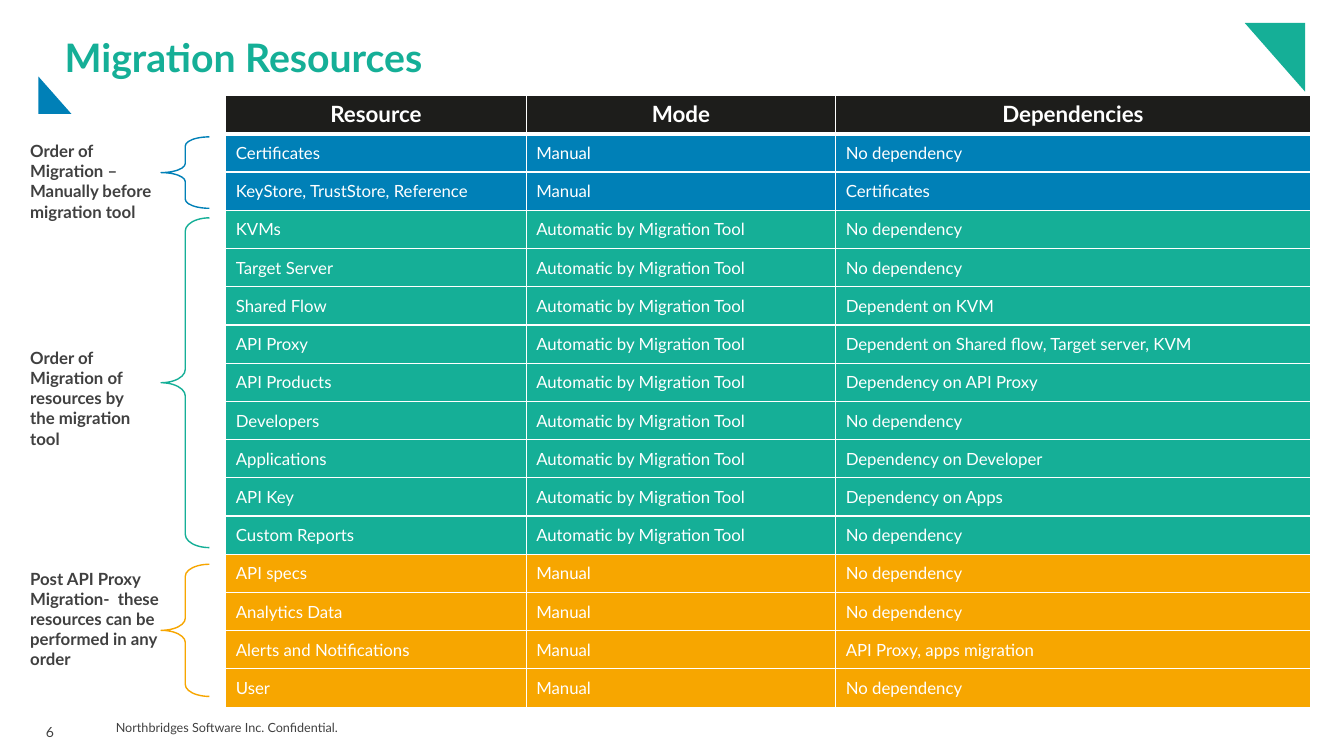
from dataclasses import dataclass

from lxml.etree import SubElement
from pptx import Presentation
from pptx.dml.color import RGBColor
from pptx.enum.shapes import MSO_SHAPE
from pptx.enum.text import MSO_ANCHOR, PP_ALIGN
from pptx.oxml.ns import qn
from pptx.util import Cm, Pt


@dataclass(frozen=True)
class Theme:
    font: str = "Lato"
    green: str = "15AF97"
    blue: str = "0080B7"
    orange: str = "F7A600"
    black: str = "1D1D1B"
    white: str = "FFFFFF"
    grey: str = "404040"
    title_size: int = 28
    header_size: int = 16
    body_size: int = 12
    number_size: int = 10
    footer_size: int = 9


@dataclass(frozen=True)
class Phase:
    """A coloured group of rows with its brace and label; lengths in cm."""
    color: str
    label: str
    label_box: tuple
    brace_top: float
    brace_height: float
    brace_curve: float
    rows: tuple


THEME = Theme()
AUTOMATIC = "Automatic by Migration Tool"
MANUAL = "Manual"
FREE = "No dependency"
HEADERS = ("Resource", "Mode", "Dependencies")
COLUMN_WIDTHS = (7.57, 7.8, 11.96)
PHASES = (
    Phase(THEME.blue, "Order of Migration – Manually before migration tool",
          (0.56, 3.45, 3.66, 2.77), 3.45, 1.8, 0.188, (
              ("Certificates", MANUAL, FREE),
              ("KeyStore, TrustStore, Reference", MANUAL, "Certificates"),
          )),
    Phase(THEME.green, "Order of Migration of resources by the migration tool",
          (0.56, 8.66, 3.4, 2.77), 5.49, 8.31, 0.274, (
              ("KVMs", AUTOMATIC, FREE),
              ("Target Server", AUTOMATIC, FREE),
              ("Shared Flow", AUTOMATIC, "Dependent on KVM"),
              ("API Proxy", AUTOMATIC,
               "Dependent on Shared flow, Target server, KVM"),
              ("API Products", AUTOMATIC, "Dependency on API Proxy"),
              ("Developers", AUTOMATIC, FREE),
              ("Applications", AUTOMATIC, "Dependency on Developer"),
              ("API Key", AUTOMATIC, "Dependency on Apps"),
              ("Custom Reports", AUTOMATIC, FREE),
          )),
    Phase(THEME.orange,
          "Post API Proxy Migration-  these resources can be performed in any order",
          (0.56, 14.22, 3.66, 3.28), 14.22, 3.33, 0.248, (
              ("API specs", MANUAL, FREE),
              ("Analytics Data", MANUAL, FREE),
              ("Alerts and Notifications", MANUAL, "API Proxy, apps migration"),
              ("User", MANUAL, FREE),
          )),
)


def style(para, size, color, bold=False):
    para.font.name = THEME.font
    para.font.size = Pt(size)
    para.font.bold = bold
    para.font.color.rgb = RGBColor.from_string(color)


def set_margins(frame, across, down):
    frame.margin_left = frame.margin_right = Cm(across)
    frame.margin_top = frame.margin_bottom = Cm(down)


def add_title(page, text):
    title = page.shapes.title
    title.left, title.top, title.width, title.height = (
        Cm(1.63), Cm(0.97), Cm(30.5), Cm(1.07))
    frame = title.text_frame
    frame.text = text
    frame.vertical_anchor = MSO_ANCHOR.MIDDLE
    set_margins(frame, 0, 0)
    para = frame.paragraphs[0]
    para.alignment = PP_ALIGN.LEFT
    para.line_spacing = 0.9
    style(para, THEME.title_size, THEME.green, bold=True)


def add_text(page, bounds, text, size, bold=False, margins=(0.2, 0.1)):
    box = page.shapes.add_textbox(*map(Cm, bounds))
    frame = box.text_frame
    frame.word_wrap = True
    frame.text = text
    set_margins(frame, *margins)
    style(frame.paragraphs[0], size, THEME.grey, bold)
    return frame


def add_triangle(page, points, color):
    start, *others = [(Cm(x), Cm(y)) for x, y in points]
    builder = page.shapes.build_freeform(*start)
    builder.add_line_segments(others, close=True)
    triangle = builder.convert_to_shape()
    triangle.shadow.inherit = False
    triangle.fill.solid()
    triangle.fill.fore_color.rgb = RGBColor.from_string(color)
    triangle.line.fill.background()


def add_brace(page, phase):
    brace = page.shapes.add_shape(
        MSO_SHAPE.LEFT_BRACE, Cm(4.06), Cm(phase.brace_top),
        Cm(1.22), Cm(phase.brace_height))
    brace.adjustments[0] = phase.brace_curve
    brace.shadow.inherit = False
    brace.fill.background()
    brace.line.color.rgb = RGBColor.from_string(phase.color)
    brace.line.width = Pt(1)


def set_borders(cell, top, bottom):
    """Draw white borders, 1 pt at the sides; must precede the cell's fill."""
    properties = cell._tc.get_or_add_tcPr()
    for tag, width in (("lnL", 1), ("lnR", 1), ("lnT", top), ("lnB", bottom)):
        line = SubElement(properties, qn(f"a:{tag}"), w=str(Pt(width)))
        fill = SubElement(line, qn("a:solidFill"))
        SubElement(fill, qn("a:srgbClr"), val=THEME.white)


def fill_row(table, index, texts, color):
    is_header = index == 0
    for column, text in enumerate(texts):
        cell = table.cell(index, column)
        set_borders(cell, top=3 if index == 1 else 1, bottom=3 if is_header else 1)
        cell.fill.solid()
        cell.fill.fore_color.rgb = RGBColor.from_string(color)
        cell.text = text
        para = cell.text_frame.paragraphs[0]
        if is_header:
            para.alignment = PP_ALIGN.CENTER
            style(para, THEME.header_size, THEME.white, bold=True)
        else:
            cell.vertical_anchor = MSO_ANCHOR.MIDDLE
            style(para, THEME.body_size, THEME.white)


def add_resource_table(page):
    rows = [(HEADERS, THEME.black)]
    rows += [(row, phase.color) for phase in PHASES for row in phase.rows]
    table = page.shapes.add_table(
        len(rows), len(HEADERS), Cm(5.69), Cm(2.41),
        Cm(sum(COLUMN_WIDTHS)), Cm(15.42)).table
    table.horz_banding = False
    for column, width in zip(table.columns, COLUMN_WIDTHS):
        column.width = Cm(width)
    for index, (texts, color) in enumerate(rows):
        fill_row(table, index, texts, color)


def add_footer(page):
    footer = add_text(page, (2.67, 17.91, 6.93, 0.86),
                      "Northbridges Software Inc. Confidential.",
                      THEME.footer_size, margins=(0.25, 0.25))
    footer.vertical_anchor = MSO_ANCHOR.MIDDLE
    number = add_text(page, (0.91, 17.93, 0.94, 0.79), "6",
                      THEME.number_size, margins=(0.25, 0.13))
    number.word_wrap = False
    number.paragraphs[0].line_spacing = Pt(17)
    number.paragraphs[0].space_after = Pt(2)


def main():
    deck = Presentation()
    deck.slide_width, deck.slide_height = Cm(33.87), Cm(19.05)
    page = deck.slides.add_slide(deck.slide_layouts.get_by_name("Title Only"))
    add_footer(page)
    add_triangle(page, ((31.37, 0.58), (32.89, 0.58), (32.89, 2.31)), THEME.green)
    add_triangle(page, ((1.8, 2.87), (0.97, 2.87), (0.97, 1.93)), THEME.blue)
    add_title(page, "Migration Resources")
    for phase in PHASES:
        add_brace(page, phase)
        add_text(page, phase.label_box, phase.label, THEME.body_size, bold=True)
    add_resource_table(page)
    deck.save("out.pptx")


if __name__ == "__main__":
    main()
